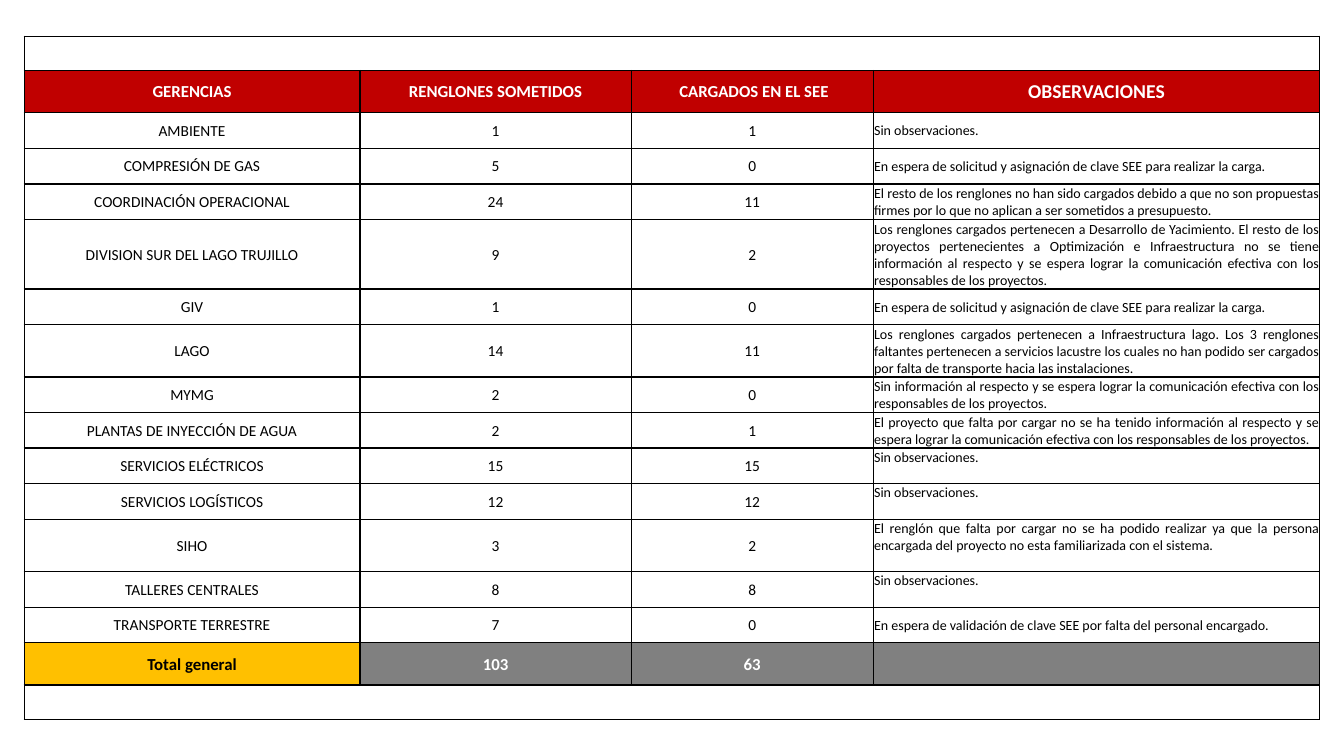
from lxml.etree import SubElement
from pptx import Presentation
from pptx.dml.color import RGBColor
from pptx.enum.text import MSO_ANCHOR, PP_ALIGN
from pptx.oxml.ns import qn
from pptx.util import Inches, Pt

COLORS = {"black": "000000", "white": "FFFFFF", "red": "C00000",
          "amber": "FFC000", "gray": "808080"}

COL_WIDTHS = [3.33, 2.69, 2.4, 4.43]
EDGE_HEIGHT, BAND_HEIGHT, ROW_HEIGHT = 0.34, 0.42, 0.353
TALL_ROWS = {"DIVISION SUR DEL LAGO TRUJILLO": 0.69, "LAGO": 0.52, "SIHO": 0.52}
TOP_NOTES = {"SERVICIOS ELÉCTRICOS", "SERVICIOS LOGÍSTICOS", "SIHO", "TALLERES CENTRALES"}

HEADERS = ["GERENCIAS", "RENGLONES SOMETIDOS", " CARGADOS EN EL SEE", "OBSERVACIONES"]
NO_NOTES = "Sin observaciones."
WAITING_KEY = "En espera de solicitud y asignación de clave SEE para realizar la carga."
GERENCIAS = [
    ("AMBIENTE", 1, 1, NO_NOTES),
    ("COMPRESIÓN DE GAS", 5, 0, WAITING_KEY),
    ("COORDINACIÓN OPERACIONAL", 24, 11,
     "El resto de los renglones no han sido cargados debido a que no son propuestas "
     "firmes por lo que no aplican a ser sometidos a presupuesto."),
    ("DIVISION SUR DEL LAGO TRUJILLO", 9, 2,
     "Los renglones cargados pertenecen a Desarrollo de Yacimiento. El resto de los "
     "proyectos pertenecientes a Optimización e Infraestructura no se tiene información "
     "al respecto y se espera lograr la comunicación efectiva con los responsables de "
     "los proyectos."),
    ("GIV", 1, 0, WAITING_KEY),
    ("LAGO", 14, 11,
     "Los renglones cargados pertenecen a Infraestructura lago. Los 3 renglones "
     "faltantes pertenecen a servicios lacustre los cuales no han podido ser cargados "
     "por falta de transporte hacia las instalaciones."),
    ("MYMG", 2, 0,
     "Sin información al respecto y se espera lograr la comunicación efectiva con los "
     "responsables de los proyectos."),
    ("PLANTAS DE INYECCIÓN DE AGUA", 2, 1,
     "El proyecto que falta por cargar no se ha tenido información al respecto y se "
     "espera lograr la comunicación efectiva con los responsables de los proyectos."),
    ("SERVICIOS ELÉCTRICOS", 15, 15, NO_NOTES),
    ("SERVICIOS LOGÍSTICOS", 12, 12, NO_NOTES),
    ("SIHO", 3, 2,
     "El renglón que falta por cargar no se ha podido realizar ya que la persona "
     "encargada del proyecto no esta familiarizada con el sistema."),
    ("TALLERES CENTRALES", 8, 8, NO_NOTES),
    ("TRANSPORTE TERRESTRE", 7, 0,
     "En espera de validación de clave SEE por falta del personal encargado."),
]


class SlideBuilder:
    def __init__(self, prs, font="Calibri"):
        self.slide = prs.slides.add_slide(prs.slide_layouts[6])
        self.font = font

    def color(self, name):
        return RGBColor.from_string(COLORS[name])

    def table(self, left, top, widths, heights):
        frame = self.slide.shapes.add_table(
            len(heights), len(widths), Inches(left), Inches(top),
            Inches(sum(widths)), Inches(sum(heights)))
        table = frame.table
        table.first_row = table.horz_banding = False
        for column, width in zip(table.columns, widths):
            column.width = Inches(width)
        for row, height in zip(table.rows, heights):
            row.height = Inches(height)
        for cell in table.iter_cells():
            self.frame_cell(cell)
        return table

    def frame_cell(self, cell):
        """Give a cell black borders, narrow margins and no fill."""
        margins = {"margin_left": 0.01, "margin_right": 0.01,
                   "margin_top": 0.01, "margin_bottom": 0}
        for name, value in margins.items():
            setattr(cell, name, Inches(value))
        tc_pr = cell._tc.get_or_add_tcPr()
        for side in ("a:lnL", "a:lnR", "a:lnT", "a:lnB"):
            ln = SubElement(tc_pr, qn(side), w=str(Pt(1)))
            fill = SubElement(ln, qn("a:solidFill"))
            SubElement(fill, qn("a:srgbClr"), val=COLORS["black"])
        cell.fill.background()

    def cell(self, cell, text, size=11, bold=False, color="black", fill=None,
             align=PP_ALIGN.CENTER, anchor=MSO_ANCHOR.MIDDLE):
        if fill:
            cell.fill.solid()
            cell.fill.fore_color.rgb = self.color(fill)
        cell.vertical_anchor = anchor
        if not text:
            return
        p = cell.text_frame.paragraphs[0]
        p.alignment = align
        r = p.add_run()
        r.text = text
        for name, value in {"name": self.font, "size": Pt(size), "bold": bold}.items():
            setattr(r.font, name, value)
        r.font.color.rgb = self.color(color)


def main():
    prs = Presentation()
    prs.slide_width, prs.slide_height = Inches(13.33), Inches(7.5)
    s = SlideBuilder(prs)

    body = [TALL_ROWS.get(name, ROW_HEIGHT) for name, *_ in GERENCIAS]
    heights = [EDGE_HEIGHT, BAND_HEIGHT, *body, BAND_HEIGHT, EDGE_HEIGHT]
    table = s.table(0.24, 0.36, COL_WIDTHS, heights)
    last_row, last_col = len(heights) - 1, len(COL_WIDTHS) - 1
    for row in (0, last_row):
        table.cell(row, 0).merge(table.cell(row, last_col))

    for col, header in enumerate(HEADERS):
        s.cell(table.cell(1, col), header, size=14 if col == last_col else 12,
               bold=True, color="white", fill="red")

    for row, (name, submitted, loaded, note) in enumerate(GERENCIAS, start=2):
        for col, value in enumerate((name, submitted, loaded)):
            s.cell(table.cell(row, col), str(value))
        anchor = MSO_ANCHOR.TOP if name in TOP_NOTES else MSO_ANCHOR.MIDDLE
        s.cell(table.cell(row, last_col), note, size=10,
               align=PP_ALIGN.JUSTIFY, anchor=anchor)

    submitted_total = sum(row[1] for row in GERENCIAS)
    loaded_total = sum(row[2] for row in GERENCIAS)
    totals = ["Total general", str(submitted_total), str(loaded_total), ""]
    for col, total in enumerate(totals):
        color, fill = ("white", "gray") if col else ("black", "amber")
        s.cell(table.cell(last_row - 1, col), total, size=12, bold=True,
               color=color, fill=fill)

    prs.save("out.pptx")


if __name__ == "__main__":
    main()
